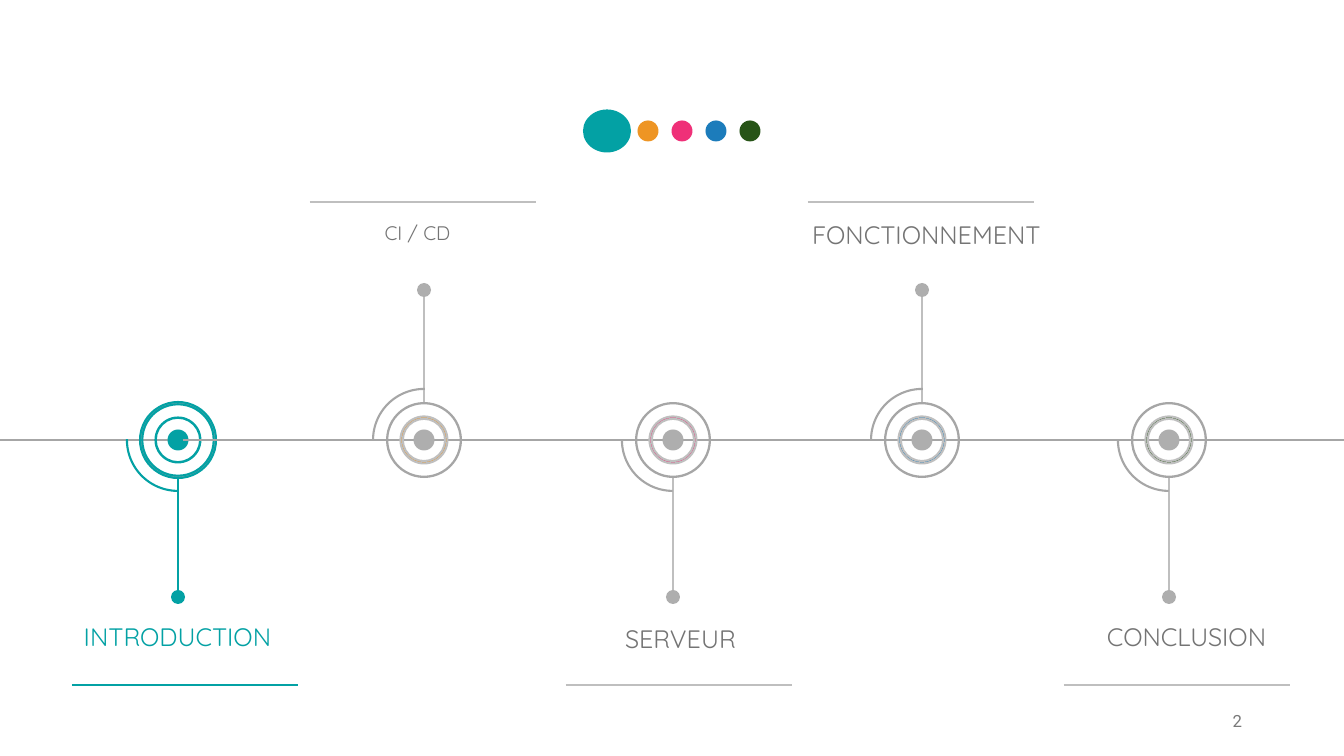
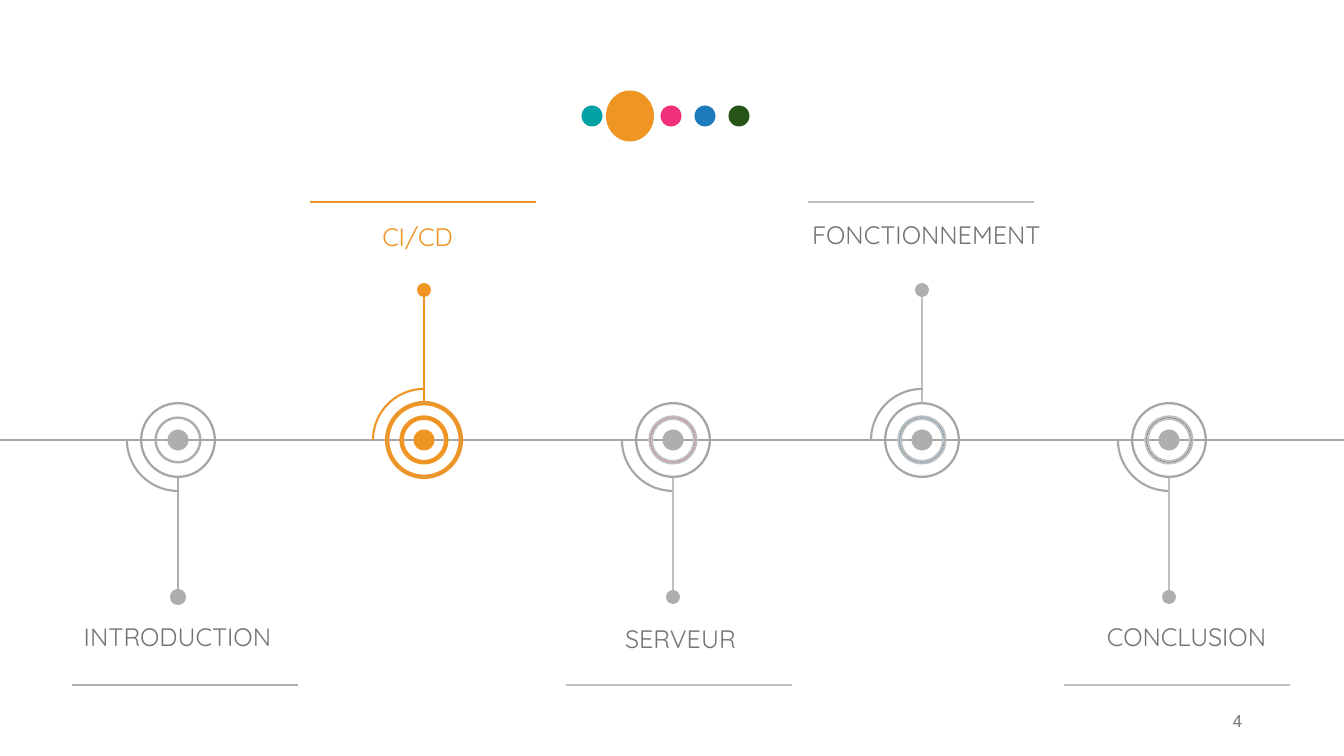
from dataclasses import dataclass

from lxml import etree
from pptx import Presentation
from pptx import util as u
from pptx.dml.color import RGBColor
from pptx.enum import shapes, text
from pptx.oxml.ns import qn


@dataclass(frozen=True)
class Theme:
    accents: tuple = ("03A1A4", "EE9524", "EF3078", "1C7CBB", "275417")
    track: str = "A6A6A6"
    dot: str = "AEAEAE"
    rule: str = "BFBFBF"
    label: str = "747474"
    number: str = "797979"
    label_font: str = "Quicksand"
    number_font: str = "Roboto"
    label_size: int = 18
    small_size: int = 14
    number_size: int = 12
    line_width: float = 1.5


T = Theme()
PX = 12192000 / 1344
WIDTH, HEIGHT = 1344, 756
AXIS = 440
RULE_WIDTH = 226
SMALL_DOT, BIG_DOT = 21, 48
OVAL = shapes.MSO_SHAPE.OVAL
DONUT = shapes.MSO_SHAPE.DONUT
ARC = shapes.MSO_SHAPE.ARC
LINE = shapes.MSO_CONNECTOR.STRAIGHT
LEFT, CENTER, RIGHT = text.PP_ALIGN.LEFT, text.PP_ALIGN.CENTER, text.PP_ALIGN.RIGHT


def draw(s, kind, x, y, w, h, fill=None, line=None, adj=(), rotation=0):
    x, y, w, h = (round(v * PX) for v in (x, y, w, h))
    if kind == LINE:
        sp = s.shapes.add_connector(kind, x, y, x + w, y + h)
    else:
        sp = s.shapes.add_shape(kind, x, y, w, h)
        sp.shadow.inherit = False
        sp.rotation = rotation
        for i, value in enumerate(adj):
            sp.adjustments[i] = value
        if fill:
            sp.fill.solid()
            sp.fill.fore_color.rgb = RGBColor.from_string(fill)
        else:
            sp.fill.background()
    if line:
        sp.line.color.rgb = RGBColor.from_string(line)
        sp.line.width = u.Pt(T.line_width)
    else:
        sp.line.fill.background()
    if kind == LINE:
        etree.SubElement(sp._element.spPr, qn("a:effectLst"))


def write(s, content, x, y, w, h, *, size, font, color, align=CENTER,
          anchor=text.MSO_ANCHOR.TOP):
    sp = s.shapes.add_textbox(*(round(v * PX) for v in (x, y, w, h)))
    tf = sp.text_frame
    tf.word_wrap = True
    tf.vertical_anchor = anchor
    p = tf.paragraphs[0]
    p.alignment = align
    r = p.add_run()
    r.text = content
    r.font.size = u.Pt(size)
    r.font.name = font
    r.font.color.rgb = RGBColor.from_string(color)


stops = [
    ("INTRODUCTION", 178, False, 72, (1, 616, 353), CENTER),
    ("CI/CD", 424, True, 310, (241, 216, 353), CENTER),
    ("SERVEUR", 673, False, 566, (504, 618, 353), CENTER),
    ("FONCTIONNEMENT", 922, True, 808, (750, 214, 353), CENTER),
    ("CONCLUSION", 1169, False, 1064, (1097, 616, 202), LEFT),
]
agendas = [
    dict(page="2", active=0, legend_x=607, legend_y=131, big_height=43,
         changed={"CI/CD": ("CI / CD", T.small_size)}),
    dict(page="4", active=1, legend_x=592, legend_y=116, big_height=51, changed={}),
]

prs = Presentation()
prs.slide_width = round(WIDTH * PX)
prs.slide_height = round(HEIGHT * PX)

for agenda in agendas:
    s = prs.slides.add_slide(prs.slide_layouts[6])
    active = agenda["active"]
    draw(s, LINE, 0, AXIS, 169, 0, line=T.track)

    for i, (name, cx, up, rule_x, label_box, align) in enumerate(stops):
        on, first = i == active, i == 0
        accent = T.accents[i]
        dot = accent if on else T.dot
        stem = accent if on else T.dot if first else T.rule
        inner_fill = dot if first else accent
        inner_line = None if first else stem
        tip_y = 290 if up else 597
        tip_line = T.dot if first and not on else None

        draw(s, LINE, cx, 290 if up else 478, 0, 112, line=stem)
        rounds = [
            (ARC, 102, AXIS, None, accent if on else T.track, (54.2, 108.53)),
            (OVAL, SMALL_DOT, AXIS, dot, None, ()),
            (DONUT, 47, AXIS, inner_fill, inner_line, (0.05,)),
            (DONUT, 76, AXIS, T.track, accent if on else None, (0.03,)),
            (OVAL, 14, tip_y, dot, tip_line, ()),
        ]
        for kind, d, cy, fill, line, adj in rounds:
            draw(s, kind, cx - d / 2, cy - d / 2, d, d, fill, line, adj,
                 rotation=90 if up and kind == ARC else 0)
        draw(s, LINE, rule_x, 202 if up else 685, RULE_WIDTH, 0, line=stem)

        content, size = agenda["changed"].get(name, (name, T.label_size))
        write(s, content, *label_box, 40, size=size, font=T.label_font,
              color=accent if on else T.label, align=align)
        if first:
            draw(s, LINE, 183, AXIS, WIDTH - 183, 0, line=T.track)

    write(s, agenda["page"], 950, 701, 302, 40, size=T.number_size,
          font=T.number_font, color=T.number, align=RIGHT,
          anchor=text.MSO_ANCHOR.MIDDLE)

    cx = agenda["legend_x"]
    for i, accent in enumerate(T.accents):
        w, h = (BIG_DOT, agenda["big_height"]) if i == active else (SMALL_DOT, SMALL_DOT)
        draw(s, OVAL, cx - w / 2, agenda["legend_y"] - h / 2, w, h, accent)
        cx += 41 if i == active else 38 if i + 1 == active else 34

prs.save("out.pptx")
